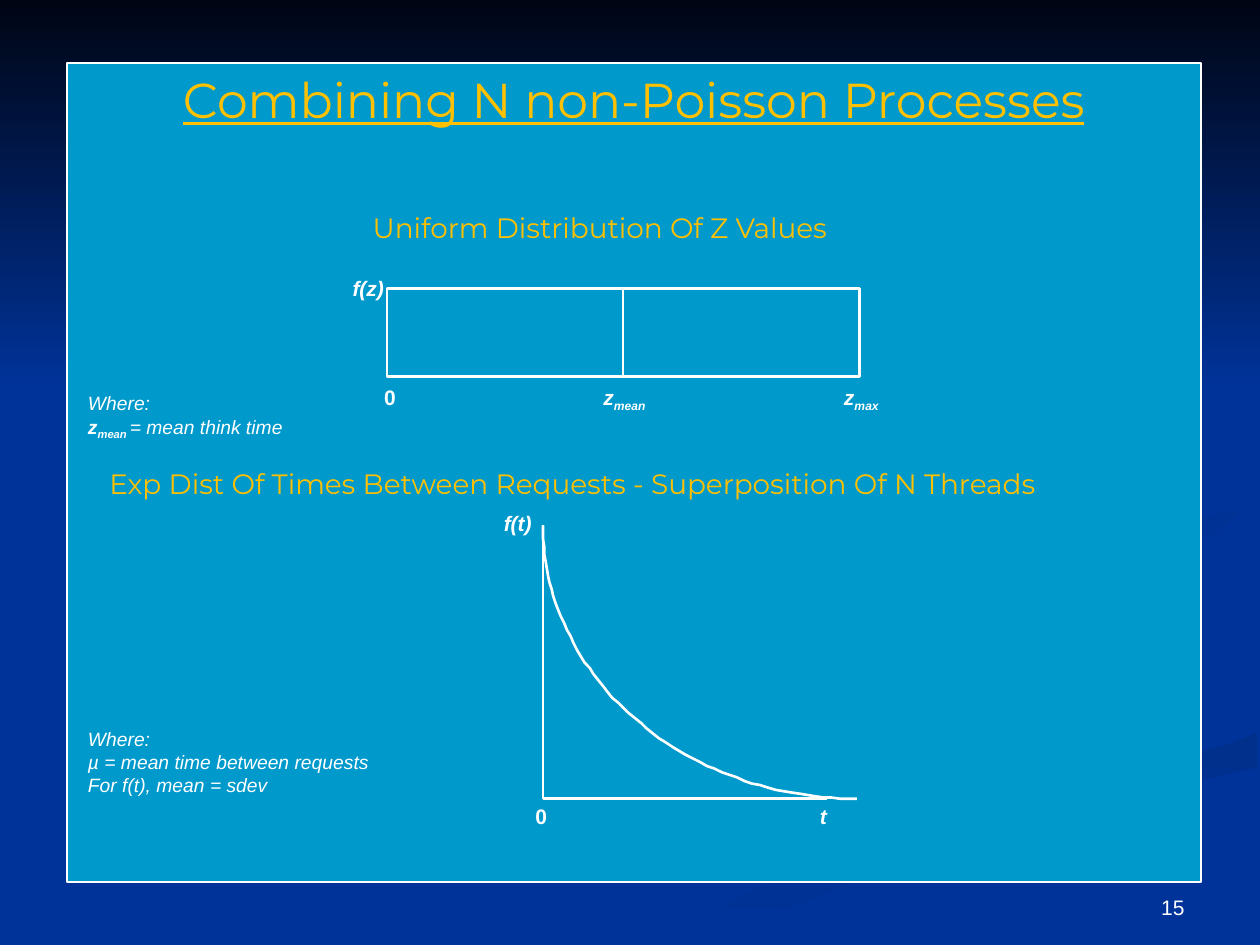
from math import cos, pi, sin

from lxml.etree import SubElement
from pptx import Presentation
from pptx.dml.color import RGBColor
from pptx.enum.shapes import MSO_CONNECTOR, MSO_SHAPE
from pptx.enum.text import MSO_ANCHOR, MSO_AUTO_SIZE, PP_ALIGN
from pptx.oxml.ns import qn
from pptx.util import Pt

PX = 9144
COLORS = {
    "blue": "003399",
    "night": "000514",
    "shade": "002F8C",
    "dusk": "003193",
    "panel": "0099CC",
    "white": "FFFFFF",
    "gold": "FFC000",
}
LABEL = {"bold": True}
SYMBOL = {"bold": True, "italic": True}
SUBSCRIPT = {"bold": True, "italic": True, "baseline": -25000}

LOWER_WAVE = [
    (781, 553), (745, 538), (682, 519), (626, 502), (594, 485), (576, 469),
    (575, 459), (570, 468), (576, 480), (602, 495), (679, 519), (741, 539),
    (781, 556), (786, 566), (774, 583), (727, 602), (652, 620), (539, 649),
    (458, 674), (376, 707), (300, 749), (361, 749), (466, 700), (564, 665),
    (676, 634), (756, 614), (791, 597), (800, 581), (792, 561),
]
RIGHT_WAVE = [
    (519, 747), (503, 749), (571, 749), (614, 726), (670, 702), (752, 672),
    (861, 640), (998, 609), (998, 581), (950, 598), (867, 620), (764, 647),
    (662, 681), (569, 719),
]
MIDDLE_WAVE = [
    (725, 464), (734, 483), (775, 503), (851, 524), (920, 547), (943, 570),
    (931, 590), (881, 608), (780, 634), (663, 668), (573, 703), (477, 749),
    (503, 749), (519, 747), (599, 706), (696, 669), (797, 638), (904, 610),
    (976, 590), (999, 581), (999, 538), (941, 527), (866, 509), (804, 485),
    (781, 463), (800, 442), (865, 424), (968, 409), (999, 402), (999, 387),
    (942, 399), (830, 415), (755, 432),
]
UPPER_WAVE = [
    (781, 460), (786, 474), (806, 487), (826, 496), (806, 480), (806, 468),
    (828, 453), (878, 439), (954, 426), (998, 420), (998, 402), (933, 415),
    (849, 427), (799, 442),
]


def color(name):
    return RGBColor.from_string(COLORS[name])


def write(frame, paragraphs, size=12, font="Arial", fill="white", bold=False,
          italic=False, underline=False, align=PP_ALIGN.LEFT,
          anchor=MSO_ANCHOR.TOP, tabs=()):
    frame.word_wrap = True
    frame.auto_size = MSO_AUTO_SIZE.NONE
    frame.vertical_anchor = anchor
    for index, runs in enumerate(paragraphs):
        paragraph = frame.add_paragraph() if index else frame.paragraphs[0]
        paragraph.alignment = align
        if tabs:
            tab_list = SubElement(paragraph._p.get_or_add_pPr(), qn("a:tabLst"))
            for position in tabs:
                SubElement(tab_list, qn("a:tab"), pos=str(position * PX), algn="l")
        for text, style in runs:
            run = paragraph.add_run()
            run.text = text
            run.font.name = font
            run.font.size = Pt(size)
            run.font.color.rgb = color(fill)
            run.font.bold = style.get("bold", bold)
            run.font.italic = style.get("italic", italic)
            run.font.underline = underline
            if "baseline" in style:
                run._r.get_or_add_rPr().set("baseline", str(style["baseline"]))


def add_text(shapes, box, paragraphs, **style):
    text_box = shapes.add_textbox(*(value * PX for value in box))
    write(text_box.text_frame, paragraphs, **style)


def add_line(shapes, start, end):
    connector = shapes.add_connector(
        MSO_CONNECTOR.STRAIGHT, *(value * PX for value in (*start, *end)))
    connector.line.color.rgb = color("white")
    connector.line.width = Pt(1.5)
    SubElement(connector._element.spPr, qn("a:effectLst"))
    return connector


def add_outline(shapes, points, closed=True):
    builder = shapes.build_freeform(*points[0], scale=PX)
    builder.add_line_segments(points[1:], close=closed)
    shape = builder.convert_to_shape()
    shape.shadow.inherit = False
    return shape


def shade(shape, start, end, angle):
    shape.fill.gradient()
    shape.fill.gradient_angle = (360 - angle) % 360
    for stop, name in zip(shape.fill.gradient_stops, (start, end)):
        stop.color.rgb = color(name)
    shape.line.fill.background()


def add_backdrop(slide, box):
    left, top, width, height = box
    slide.background.fill.solid()
    slide.background.fill.fore_color.rgb = color("blue")
    for points, start, end, angle in (
        (LOWER_WAVE, "blue", "dusk", 0),
        (RIGHT_WAVE, "shade", "blue", 90),
        (MIDDLE_WAVE, "blue", "blue", 0),
        (UPPER_WAVE, "dusk", "blue", 45),
    ):
        wave = add_outline(slide.shapes, [(left + x, top + y) for x, y in points])
        shade(wave, start, end, angle)
    sky = slide.shapes.add_shape(
        MSO_SHAPE.RECTANGLE, left * PX, top * PX, width * PX, 308 * PX)
    sky.shadow.inherit = False
    shade(sky, "night", "blue", 90)


def add_title_panel(slide, box):
    title = slide.shapes.title
    title.left, title.top, title.width, title.height = (value * PX for value in box)
    title.fill.solid()
    title.fill.fore_color.rgb = color("panel")
    title.line.color.rgb = color("white")
    title.line.width = Pt(1)
    write(title.text_frame, [[("Combining N non-Poisson Processes", {})]],
          size=28, font="Montserrat", fill="gold", underline=True,
          align=PP_ALIGN.CENTER)
    slide.shapes._spTree.append(title._element)


def add_uniform_plot(slide, box):
    left, top, width, height = box
    shapes = slide.shapes.add_group_shape().shapes
    area = shapes.add_shape(MSO_SHAPE.RECTANGLE, *(value * PX for value in box))
    area.shadow.inherit = False
    area.fill.background()
    area.line.color.rgb = color("white")
    area.line.width = Pt(1.5)
    add_text(shapes, (left - 12, top + height + 1, 436, 30),
             [[("0\t", LABEL), ("z", SYMBOL), ("mean\t", SUBSCRIPT),
               ("z", SYMBOL), ("max", SUBSCRIPT)]], tabs=(174, 365))
    mean_line = add_line(shapes, (left, top + height), (left, top))
    mean_line.begin_connect(area, 2)
    mean_line.end_connect(area, 0)
    add_text(shapes, (left - 37, top - 15, 50, 30), [[("f(z)", SYMBOL)]])


def add_exponential_plot(slide, box):
    left, top, width, height = box
    bottom = top + height
    shapes = slide.shapes.add_group_shape().shapes
    steps = 60
    angles = [pi / 2 * step / steps for step in range(steps + 1)]
    curve = add_outline(
        shapes,
        [(left + width * (1 - cos(angle)), top + height * sin(angle))
         for angle in angles],
        closed=False)
    curve.fill.background()
    curve.line.color.rgb = color("white")
    curve.line.width = Pt(1.5)
    add_line(shapes, (left, bottom), (left + 225, bottom))
    add_line(shapes, (left, top), (left, bottom))
    add_text(shapes, (left - 16, bottom - 1, 266, 30),
             [[("0\t", LABEL), ("t", SYMBOL)]], tabs=(226,))
    add_text(shapes, (left - 41, top - 17, 50, 30), [[("f(t)", SYMBOL)]])


def add_captions(slide, box):
    left, top, _, _ = box
    heading = {"size": 16, "font": "Montserrat", "fill": "gold"}
    note = {"size": 11, "italic": True}
    add_text(slide.shapes, (left + 233, top + 112, 418, 37),
             [[("Uniform Distribution Of Z Values", {})]], **heading)
    add_text(slide.shapes, (left + 24, top + 315, 836, 37),
             [[("Exp Dist Of Times Between Requests - Superposition Of N Threads",
                {})]], **heading)
    add_text(slide.shapes, (left + 7, top + 522, 330, 66),
             [[("Where:", {})], [("µ = mean time between requests", {})],
              [("For f(t), mean = sdev", {})]], **note)
    add_text(slide.shapes, (left + 7, top + 256, 330, 47),
             [[("Where:", {})],
              [("z", SYMBOL), ("mean ", SUBSCRIPT), ("= mean think time", {})]],
             **note)


def main():
    presentation = Presentation()
    presentation.slide_width = 1000 * PX
    presentation.slide_height = 750 * PX
    slide = presentation.slides.add_slide(presentation.slide_layouts[5])
    panel = (53, 50, 900, 650)
    add_backdrop(slide, (0, 0, 1000, 750))
    add_title_panel(slide, panel)
    add_text(slide.shapes, (717, 683, 233, 52), [[("15", {})]],
             align=PP_ALIGN.RIGHT, anchor=MSO_ANCHOR.BOTTOM)
    add_exponential_plot(slide, (431, 417, 249, 217))
    add_uniform_plot(slide, (307, 229, 375, 70))
    add_captions(slide, panel)
    presentation.save("out.pptx")


if __name__ == "__main__":
    main()
